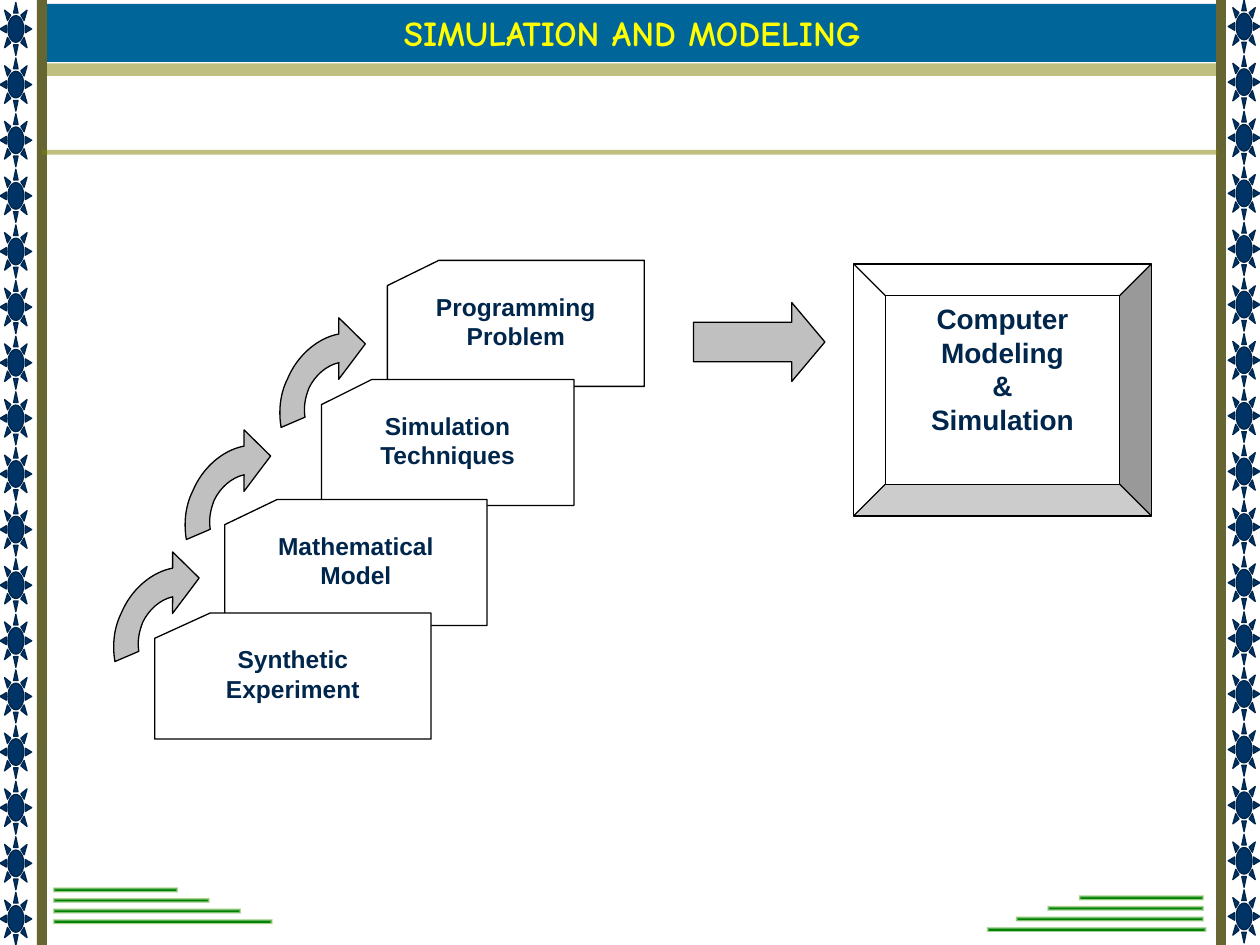
from dataclasses import dataclass

from lxml import etree
from pptx import Presentation
from pptx import util as u
from pptx.dml.color import RGBColor
from pptx.enum import shapes, text
from pptx.oxml.ns import qn

KIND = shapes.MSO_SHAPE
NAVY, BLACK, GRAY, WHITE = "00264C", "000000", "C0C0C0", "FFFFFF"
GREEN, CREAM, OLIVE = "008000", "FFFFE9", "808000"
WIDE, HIGH = 25.4, 19.05


@dataclass
class Box:
    """A place on the slide, in centimetres."""
    x: float
    y: float
    w: float
    h: float


@dataclass
class Card:
    box: Box
    lines: list[str]


CARDS = [
    Card(Box(7.81, 5.25, 5.18, 2.54), ["Programming", "Problem"]),
    Card(Box(6.48, 7.65, 5.09, 2.54), ["Simulation", "Techniques"]),
    Card(Box(4.53, 10.07, 5.29, 2.54), ["Mathematical", "Model"]),
    Card(Box(3.12, 12.36, 5.57, 2.54), ["Synthetic", "Experiment"]),
]
ARROWS = [Box(x, y, 2.26, 2.82)
          for x, y in ((2.34, 11.4), (3.78, 8.94), (5.69, 6.68))]

# Outline of a bent arrow before its turn: one point is a line, three a curve
BENT = [
    [(1.43, 2.13)],
    [(1.64, 1.98), (1.77, 1.7), (1.78, 1.42)],
    [(1.77, 1.2), (1.73, 1.03), (1.62, 0.85)],
    [(1.98, 0.47)],
    [(2.15, 0.73), (2.27, 1.07), (2.25, 1.41)],
    [(2.26, 1.93), (2.02, 2.42), (1.66, 2.66)],
    [(1.79, 2.96)], [(1.09, 2.69)], [(1.3, 1.82)],
]


def color(code: str) -> RGBColor:
    return RGBColor.from_string(code)


def paint(shape, fill: str, line: str | None = None) -> None:
    shape.shadow.inherit = False
    shape.fill.solid()
    shape.fill.fore_color.rgb = color(fill)
    if line:
        shape.line.color.rgb = color(line)
        shape.line.width = u.Pt(0.75)
    else:
        shape.line.fill.background()


def draw(slide, kind, box: Box, fill: str, line: str | None = None):
    shape = slide.shapes.add_shape(
        kind, u.Cm(box.x), u.Cm(box.y), u.Cm(box.w), u.Cm(box.h))
    paint(shape, fill, line)
    return shape


def write(shape, lines: list[str], *, size: int, font: str = "Arial",
          ink: str = NAVY, anchor=text.MSO_ANCHOR.TOP) -> None:
    frame = shape.text_frame
    frame.word_wrap = True
    frame.vertical_anchor = anchor
    for i, line in enumerate(lines):
        para = frame.add_paragraph() if i else frame.paragraphs[0]
        para.alignment = text.PP_ALIGN.CENTER
        run = para.add_run()
        run.text = line
        run.font.name = font
        run.font.size = u.Pt(size)
        run.font.bold = True
        run.font.color.rgb = color(ink)


def fade(shape) -> None:
    """Make a solid fill half transparent."""
    tint = shape.fill._xPr.find(qn("a:solidFill"))[0]
    etree.SubElement(tint, qn("a:alpha")).set("val", "50000")


def glow(shape) -> None:
    """Fill with green that turns to cream at the edges."""
    shape.fill.gradient()
    for stop, code, place in zip(shape.fill.gradient_stops, (GREEN, CREAM), (0, 1)):
        stop.color.rgb = color(code)
        stop.position = place
    grad = shape.fill._xPr.find(qn("a:gradFill"))
    grad.remove(grad.find(qn("a:lin")))
    ramp = etree.SubElement(grad, qn("a:path"))
    ramp.set("path", "rect")
    focus = etree.SubElement(ramp, qn("a:fillToRect"))
    for side in "ltrb":
        focus.set(side, "50000")


def bend(slide, box: Box) -> None:
    """Draw a turned arrow with true curves."""
    pen = slide.shapes.build_freeform(0, 0)
    pen.add_line_segments([(u.Cm(box.w), u.Cm(box.h))])
    shape = pen.convert_to_shape()
    shape.left, shape.top = u.Cm(box.x), u.Cm(box.y)
    shape.width, shape.height = u.Cm(box.w), u.Cm(box.h)
    shape.rotation = 203.4
    track = next(shape._element.iter(qn("a:path")))
    for old in list(track):
        track.remove(old)
    for i, step in enumerate(BENT):
        tag = "cubicBezTo" if len(step) == 3 else "lnTo" if i else "moveTo"
        part = etree.SubElement(track, qn(f"a:{tag}"))
        for x, y in step:
            point = etree.SubElement(part, qn("a:pt"))
            point.set("x", str(u.Cm(x)))
            point.set("y", str(u.Cm(y)))
    etree.SubElement(track, qn("a:close"))
    paint(shape, GRAY, BLACK)


def border(slide) -> None:
    # Title and bands
    fade(draw(slide, KIND.RECTANGLE, Box(0.9, 1.28, 23.7, 0.25), OLIVE))
    title = draw(slide, KIND.RECTANGLE, Box(0.9, 0.08, 23.7, 1.17), "006699")
    write(title, ["SIMULATION AND MODELING"], size=20, font="Comic Neue",
          ink="FFFF00", anchor=text.MSO_ANCHOR.MIDDLE)

    # Columns of suns and the posts beside them
    for x, top, post in ((0, 0.05, -8.68), (24.76, 0, 15.09)):
        for i in range(17):
            draw(slide, KIND.SUN, Box(x, top + 17.94 * i / 16, 0.64, 1.07),
                 "003366", NAVY)
        bar = draw(slide, KIND.RECTANGLE, Box(post, 9.42, HIGH, 0.2), "666633")
        bar.rotation = 270
    fade(draw(slide, KIND.RECTANGLE, Box(0.85, 3.02, 23.7, 0.1), OLIVE))

    # Stepped bars in the lower corners
    for i in range(4):
        wide = 2.54 * (1 + i / 4)
        edge = 24.33 if i == 3 else 24.28
        for x, top in ((1.06, 17.88), (edge - wide, 18.04)):
            glow(draw(slide, KIND.RECTANGLE,
                      Box(x, top + 0.64 * i / 3, wide, 0.12), GREEN))


def main() -> None:
    deck = Presentation()
    deck.slide_width, deck.slide_height = u.Cm(WIDE), u.Cm(HIGH)
    slide = deck.slides.add_slide(deck.slide_layouts[6])
    border(slide)

    # Steps
    for card in CARDS:
        shape = draw(slide, KIND.FLOWCHART_CARD, card.box, WHITE, BLACK)
        write(shape, card.lines, size=14)

    # Result
    goal = draw(slide, KIND.BEVEL, Box(17.21, 5.32, 6, 5.08), WHITE, BLACK)
    write(goal, ["Computer", "Modeling", "&", "Simulation"], size=16)

    # Arrows
    lead = draw(slide, KIND.RIGHT_ARROW, Box(13.98, 6.1, 2.65, 1.59), GRAY, BLACK)
    lead.adjustments[1] = 0.42
    for box in ARROWS:
        bend(slide, box)

    deck.save("out.pptx")


if __name__ == "__main__":
    main()
